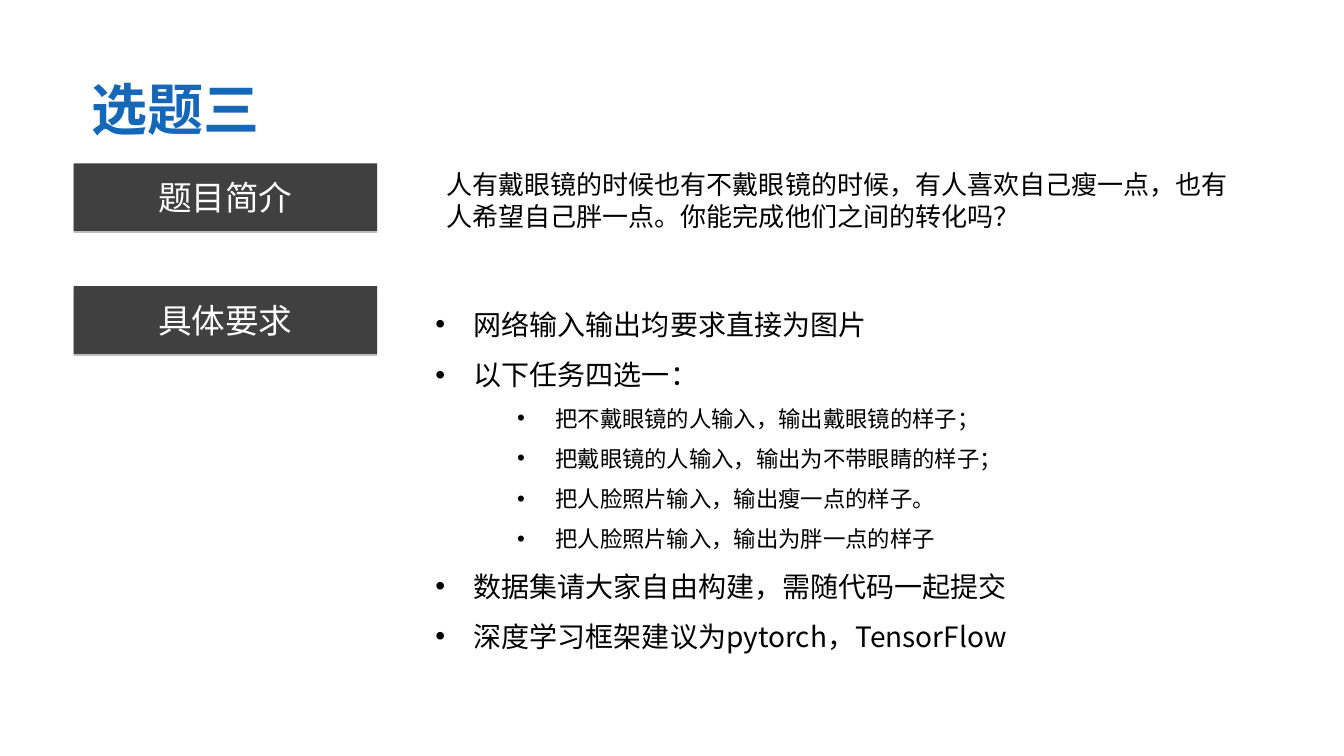
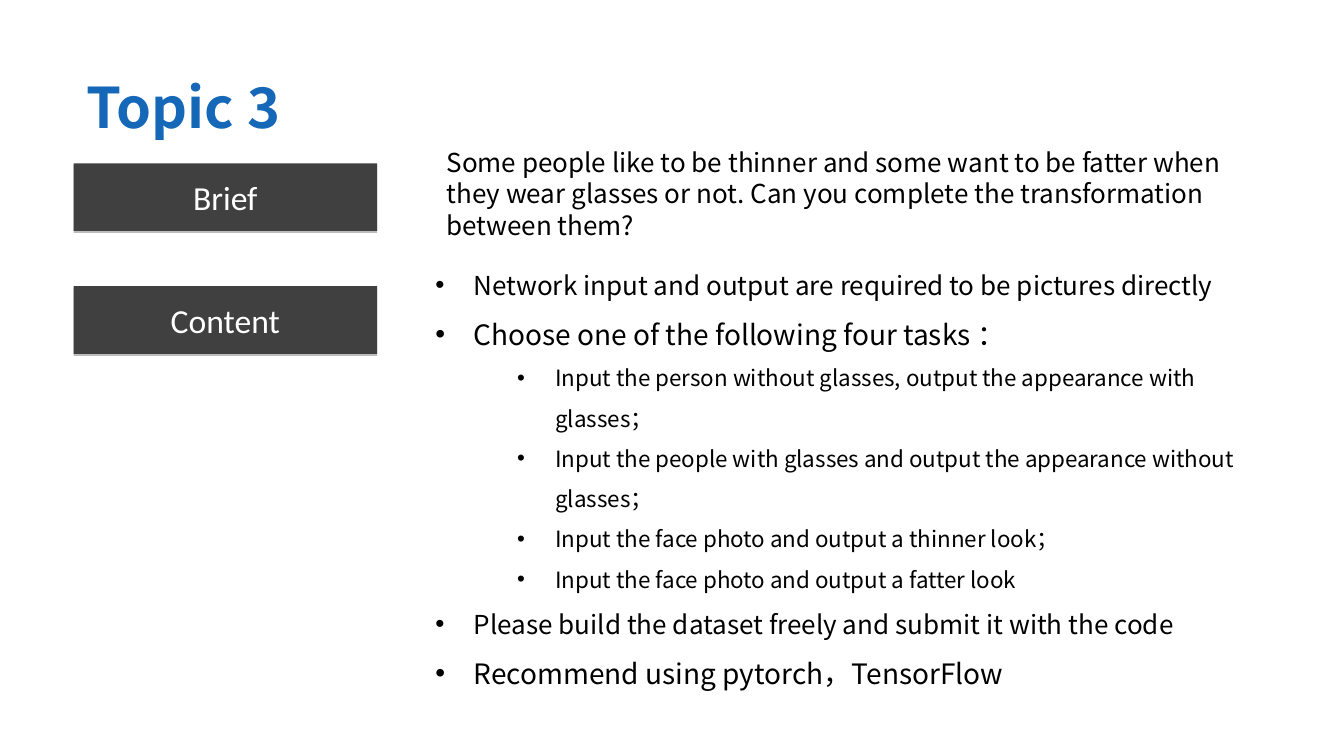
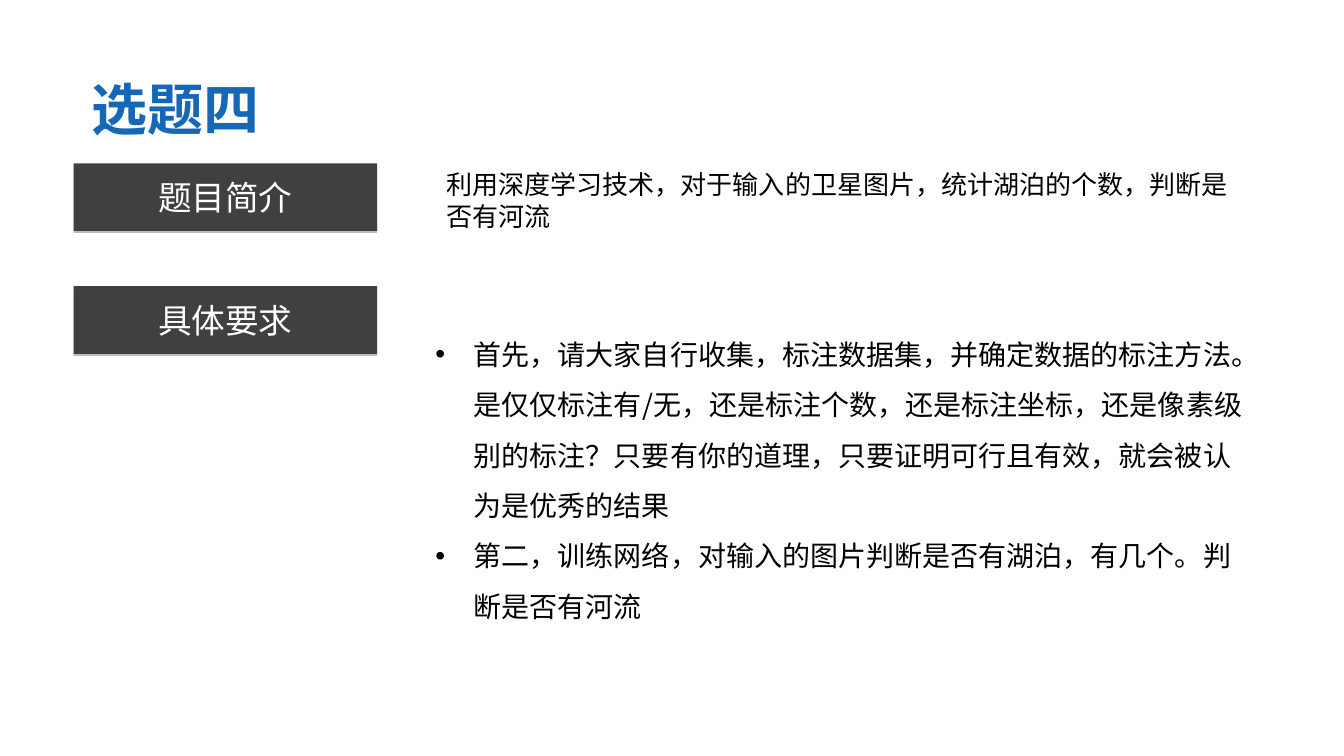
"""Build three topic slides, each with a title, a brief and a list of requirements."""
from lxml import etree
from pptx import Presentation
from pptx.dml.color import RGBColor
from pptx.enum import shapes, text
from pptx.oxml import ns
from pptx.util import Inches, Pt

COLORS = {"title": "1567B8", "label": "404040", "white": "FFFFFF", "black": "000000"}
BODY_FONT = "Noto Sans CJK SC"
LABEL_FONT = "Calibri"
LABEL_TOPS = (1.62, 2.84)
LIST_CENTER = 4.68
LIST_INDENTS = (0.38, 1.19)
HANGING = 0.38

TOPICS = [
    {
        "title": "选题三",
        "title_at": (0.78, 0.73),
        "labels": ("题目简介", "具体要求"),
        "brief": "人有戴眼镜的时候也有不戴眼镜的时候，有人喜欢自己瘦一点，也有人希望自己胖一点。你能完成他们之间的转化吗？",
        "brief_span": (1.62, 0.73),
        "list_height": 3.68,
        "items": [
            (0, 20, "网络输入输出均要求直接为图片"),
            (0, 20, "以下任务四选一："),
            (1, 16, "把不戴眼镜的人输入，输出戴眼镜的样子；"),
            (1, 16, "把戴眼镜的人输入，输出为不带眼睛的样子；"),
            (1, 16, "把人脸照片输入，输出瘦一点的样子。"),
            (1, 16, "把人脸照片输入，输出为胖一点的样子"),
            (0, 20, "数据集请大家自由构建，需随代码一起提交"),
            (0, 20, "深度学习框架建议为pytorch，TensorFlow"),
        ],
    },
    {
        "title": "Topic 3",
        "title_at": (0.73, 0.71),
        "labels": ("Brief", "Content"),
        "brief": "Some people like to be thinner and some want to be fatter when they wear glasses or not. "
                 "Can you complete the transformation between them?",
        "brief_span": (1.4, 1.04),
        "list_height": 4.42,
        "items": [
            (0, 18.6, "Network input and output are required to be pictures directly"),
            (0, 20, "Choose one of the following four tasks ："),
            (1, 16, "Input the person without glasses, output the appearance with glasses；"),
            (1, 16, "Input the people with glasses and output the appearance without glasses；"),
            (1, 16, "Input the face photo and output a thinner look；"),
            (1, 16, "Input the face photo and output a fatter look"),
            (0, 18.6, "Please build the dataset freely and submit it with the code"),
            (0, 20, "Recommend using pytorch，TensorFlow"),
        ],
    },
    {
        "title": "选题四",
        "title_at": (0.78, 0.73),
        "labels": ("题目简介", "具体要求"),
        "brief": "利用深度学习技术，对于输入的卫星图片，统计湖泊的个数，判断是否有河流",
        "brief_span": (1.62, 0.73),
        "list_height": 3.13,
        "items": [
            (0, 20, "首先，请大家自行收集，标注数据集，并确定数据的标注方法。是仅仅标注有/无，还是标注个数，"
                    "还是标注坐标，还是像素级别的标注？只要有你的道理，只要证明可行且有效，就会被认为是优秀的结果"),
            (0, 20, "第二，训练网络，对输入的图片判断是否有湖泊，有几个。判断是否有河流"),
        ],
    },
]


def add_element(parent, tag, **attributes):
    return etree.SubElement(parent, ns.qn(tag), **attributes)


def style(para, size, color, name=BODY_FONT, bold=False):
    font = para.font
    font.size, font.bold = Pt(size), bold
    font.color.rgb = RGBColor.from_string(COLORS[color])
    font.name = name
    add_element(para._p.pPr.find(ns.qn("a:defRPr")), "a:ea", typeface=BODY_FONT)


def add_text_frame(page, left, top, width, height, grow=True):
    frame = page.shapes.add_textbox(*map(Inches, (left, top, width, height))).text_frame
    frame.word_wrap = True
    frame.vertical_anchor = text.MSO_ANCHOR.MIDDLE
    if grow:
        frame.auto_size = text.MSO_AUTO_SIZE.SHAPE_TO_FIT_TEXT
    return frame


def add_title(page, title, left, top):
    frame = add_text_frame(page, left, top, 10.6, 0.69, grow=False)
    frame.margin_left = frame.margin_right = Inches(0.13)
    frame.margin_top = frame.margin_bottom = Inches(0.07)
    para = frame.paragraphs[0]
    para.text = title
    para.alignment = text.PP_ALIGN.JUSTIFY
    style(para, 40, "title", bold=True)


def add_label(page, label, top):
    bar = page.shapes.add_shape(shapes.MSO_SHAPE.RECTANGLE, *map(Inches, (0.73, top, 3.01, 0.67)))
    bar.fill.solid()
    bar.fill.fore_color.rgb = RGBColor.from_string(COLORS["label"])
    bar.line.fill.background()
    bar.shadow.inherit = False
    effects = bar._element.spPr.find(ns.qn("a:effectLst"))
    shadow = add_element(effects, "a:outerShdw", blurRad="0", dist=str(Pt(1.6)),
                         dir=str(90 * 60000), algn="t", rotWithShape="0")
    tint = add_element(shadow, "a:srgbClr", val=COLORS["black"])
    add_element(tint, "a:alpha", val="25000")
    bar.text_frame.vertical_anchor = text.MSO_ANCHOR.MIDDLE
    para = bar.text_frame.paragraphs[0]
    para.text = label
    para.alignment = text.PP_ALIGN.CENTER
    style(para, 24, "white", LABEL_FONT)


def add_brief(page, brief, top, height):
    para = add_text_frame(page, 4.33, top, 8.08, height).paragraphs[0]
    para.text = brief
    style(para, 18.6, "black")


def add_requirements(page, items, height):
    frame = add_text_frame(page, 4.22, LIST_CENTER - height / 2, 8.3, height)
    for index, (level, size, item) in enumerate(items):
        para = frame.add_paragraph() if index else frame.paragraphs[0]
        para.text = item
        para.level = level
        para.line_spacing = 1.5
        properties = para._p.get_or_add_pPr()
        properties.set("marL", str(Inches(LIST_INDENTS[level])))
        properties.set("indent", str(-Inches(HANGING)))
        add_element(properties, "a:buFont", typeface="Arial")
        add_element(properties, "a:buChar", char="•")
        style(para, size, "black")


def main():
    deck = Presentation()
    deck.slide_width, deck.slide_height = Inches(13.33), Inches(7.5)
    for topic in TOPICS:
        page = deck.slides.add_slide(deck.slide_layouts[6])
        add_title(page, topic["title"], *topic["title_at"])
        for label, top in zip(topic["labels"], LABEL_TOPS):
            add_label(page, label, top)
        add_brief(page, topic["brief"], *topic["brief_span"])
        add_requirements(page, topic["items"], topic["list_height"])
    deck.save("out.pptx")


if __name__ == "__main__":
    main()
